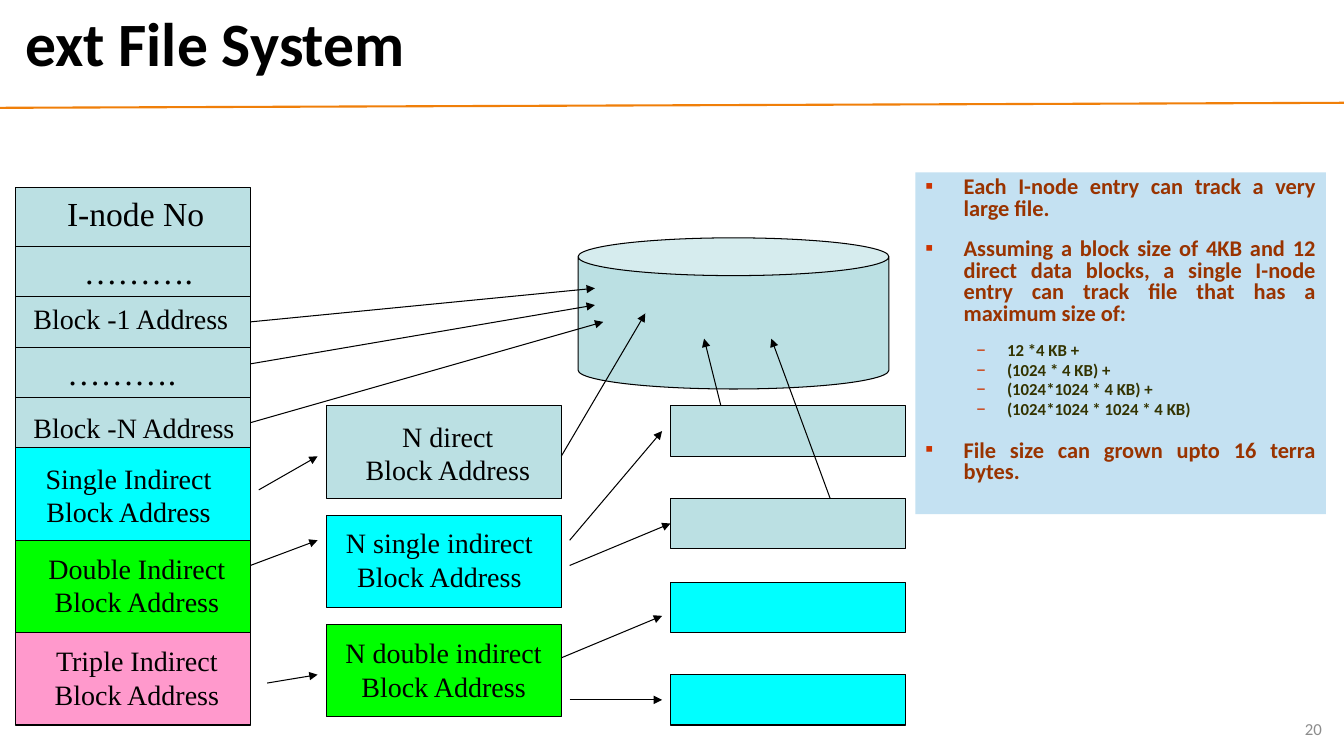
from pptx import Presentation
from pptx.dml.color import RGBColor
from pptx.enum.shapes import MSO_CONNECTOR as Connector, MSO_SHAPE as Shape
from pptx.enum.text import MSO_ANCHOR as Anchor, PP_ALIGN as Align
from pptx.util import Inches, Pt
from lxml.etree import SubElement
from pptx.oxml.ns import qn

WIDTH, HEIGHT = 13.33, 7.5
GRID_LEFT, GRID_TOP, CELL = 0.15, 1.86, 1 / 12
BLACK, PALE, CYAN, GREEN, PINK = "000000", "BBE0E3", "00FFFF", "00FF00", "FF99CC"
BOX_WIDTH, TALL, SHORT = 28, 11, 6
INODE, INDIRECT, DATA = 0, 37, 78
SERIF, SANS = "Times New Roman", "Calibri"

BOXES = [
    (INODE, 0, 31, PALE), (INODE, 31, TALL, CYAN),
    (INODE, 42, TALL, GREEN), (INODE, 53, TALL, PINK),
    (INDIRECT, 26, TALL, PALE), (INDIRECT, 39, TALL, CYAN), (INDIRECT, 52, TALL, GREEN),
    (DATA, 26, SHORT, PALE), (DATA, 37, SHORT, PALE),
    (DATA, 47, SHORT, CYAN), (DATA, 58, SHORT, CYAN),
]
DISK = (67, 6, 37, 18)
DIVIDER_ROWS = [7, 13, 19, 25]
ARROWS = [
    (28, 16, 69, 12), (28, 21, 69, 14), (28, 28, 70, 16),
    (29, 36, 36, 32), (28, 45, 36, 42), (30, 59, 36, 58),
    (65, 32, 75, 15), (66, 42, 77, 29), (66, 45, 78, 40),
    (65, 56, 77, 51), (66, 61, 77, 61),
    (84, 26, 82, 18), (97, 37, 90, 18),
]
ENTRY_LABELS = [
    (5, 0, 18.7, 24, "I-node No"), (7, 7, 15.4, 24, "………."),
    (1, 13, 25.7, 20, "Block -1 Address"), (5, 19, 15.4, 24, "………."),
    (1, 26, 26.5, 20, "Block -N Address"),
]
INDIRECT_LABELS = [
    (1, 32, 25, "Single Indirect"), (2, 42.7, 25, "Double Indirect"),
    (2, 53.7, 25, "Triple Indirect"), (39, 27, 25, "N direct"),
    (38, 39.7, 25, "N single indirect"), (38, 52.8, 26, "N double indirect"),
]
NOTES = [
    (0, 0, "Each I-node entry can track a very large file."),
    (0, 13.7, "Assuming a block size of 4KB and 12 direct data blocks, a single "
              "I-node entry can track file that has a maximum size of:"),
    (1, 13, "12 *4 KB +"),
    (1, 2.4, "(1024 * 4 KB) +"),
    (1, 2.4, "(1024*1024 * 4 KB) +"),
    (1, 2.4, "(1024*1024 * 1024 * 4 KB)"),
    (0, 16.4, "File size can grown upto 16 terra bytes."),
]
NOTE_LEVELS = [
    {"size": 16, "color": "993300", "margin": 0.38, "hang": 0.38, "bullet": "▪", "scale": 100},
    {"size": 12, "color": "333300", "margin": 0.81, "hang": 0.31, "bullet": "–", "scale": 125},
]


def rgb(value):
    return RGBColor.from_string(value)


def grid_x(column):
    return GRID_LEFT + column * CELL


def grid_y(row):
    return GRID_TOP + row * CELL


def add_box(slide, kind, left, top, width, height, fill, outlined=True):
    shape = slide.shapes.add_shape(kind, Inches(left), Inches(top), Inches(width), Inches(height))
    shape.shadow.inherit = False
    shape.fill.solid()
    shape.fill.fore_color.rgb = rgb(fill)
    if outlined:
        shape.line.color.rgb = rgb(BLACK)
        shape.line.width = Pt(0.75)
    else:
        shape.line.fill.background()
    return shape


def add_line(slide, x1, y1, x2, y2, color=BLACK, width=0.75, arrow=False):
    line = slide.shapes.add_connector(
        Connector.STRAIGHT, Inches(x1), Inches(y1), Inches(x2), Inches(y2))
    line.line.color.rgb = rgb(color)
    line.line.width = Pt(width)
    if arrow:
        SubElement(line.line._get_or_add_ln(), qn("a:tailEnd"), type="triangle")
    SubElement(line._element.spPr, qn("a:effectLst"))


def add_run(paragraph, text, size, font, color=BLACK, bold=False):
    run = paragraph.add_run()
    run.text = text
    run.font.size = Pt(size)
    run.font.name = font
    run.font.bold = bold
    run.font.color.rgb = rgb(color)


def add_text(slide, left, top, width, height, lines, size, font, color=BLACK,
             bold=False, align=Align.LEFT, anchor=Anchor.TOP, wrap=True, spacing=1.0):
    box = slide.shapes.add_textbox(Inches(left), Inches(top), Inches(width), Inches(height))
    frame = box.text_frame
    frame.word_wrap = wrap
    frame.vertical_anchor = anchor
    for index, line in enumerate(lines):
        paragraph = frame.add_paragraph() if index else frame.paragraphs[0]
        paragraph.alignment = align
        paragraph.line_spacing = spacing
        add_run(paragraph, line, size, font, color, bold)


def add_notes(slide):
    panel = add_box(slide, Shape.RECTANGLE, 9.08, 1.71, 4.07, 3.39, "C4E1F2", outlined=False)
    frame = panel.text_frame
    frame.word_wrap = True
    frame.vertical_anchor = Anchor.TOP
    for index, (level, gap, text) in enumerate(NOTES):
        style = NOTE_LEVELS[level]
        paragraph = frame.add_paragraph() if index else frame.paragraphs[0]
        paragraph.level = level
        paragraph.alignment = Align.JUSTIFY
        paragraph.line_spacing = 0.8
        paragraph.space_before = Pt(gap)
        properties = paragraph._p.get_or_add_pPr()
        properties.set("marL", str(Inches(style["margin"])))
        properties.set("indent", str(-Inches(style["hang"])))
        bullet_color = SubElement(properties, qn("a:buClr"))
        SubElement(bullet_color, qn("a:srgbClr"), val="CC3300")
        SubElement(properties, qn("a:buSzPct"), val=str(style["scale"] * 1000))
        SubElement(properties, qn("a:buFont"), typeface=SANS)
        SubElement(properties, qn("a:buChar"), char=style["bullet"])
        add_run(paragraph, text, style["size"], SANS, style["color"], True)


def main():
    presentation = Presentation()
    presentation.slide_width = Inches(WIDTH)
    presentation.slide_height = Inches(HEIGHT)
    slide = presentation.slides.add_slide(presentation.slide_layouts[6])

    add_line(slide, 0, 1.07, WIDTH, 1.02, "F07F09", 1.5)
    add_text(slide, 0.15, 0.05, 12.89, 0.83, ["ext File System"], 44, SANS,
             bold=True, anchor=Anchor.MIDDLE, spacing=0.9)
    add_text(slide, 10.21, 7.03, 3, 0.4, ["20"], 12, SANS, "8C8C8C",
             align=Align.RIGHT, anchor=Anchor.MIDDLE)

    for column, row, rows, fill in BOXES:
        add_box(slide, Shape.RECTANGLE, grid_x(column), grid_y(row),
                BOX_WIDTH * CELL, rows * CELL, fill)
    column, row, columns, rows = DISK
    disk = add_box(slide, Shape.CAN, grid_x(column), grid_y(row),
                   columns * CELL, rows * CELL, PALE)
    disk.adjustments[0] = 0.25

    for row in DIVIDER_ROWS:
        add_line(slide, grid_x(0), grid_y(row), grid_x(BOX_WIDTH), grid_y(row))
    for x1, y1, x2, y2 in ARROWS:
        add_line(slide, grid_x(x1), grid_y(y1), grid_x(x2), grid_y(y2), arrow=True)

    for column, row, columns, size, text in ENTRY_LABELS:
        add_text(slide, grid_x(column), grid_y(row), columns * CELL, SHORT * CELL,
                 [text], size, SERIF, wrap=False)
    for column, row, columns, text in INDIRECT_LABELS:
        add_text(slide, grid_x(column), grid_y(row), columns * CELL, 0.77,
                 [text, "Block Address"], 20, SERIF, align=Align.CENTER)

    add_notes(slide)
    presentation.save("out.pptx")


if __name__ == "__main__":
    main()
